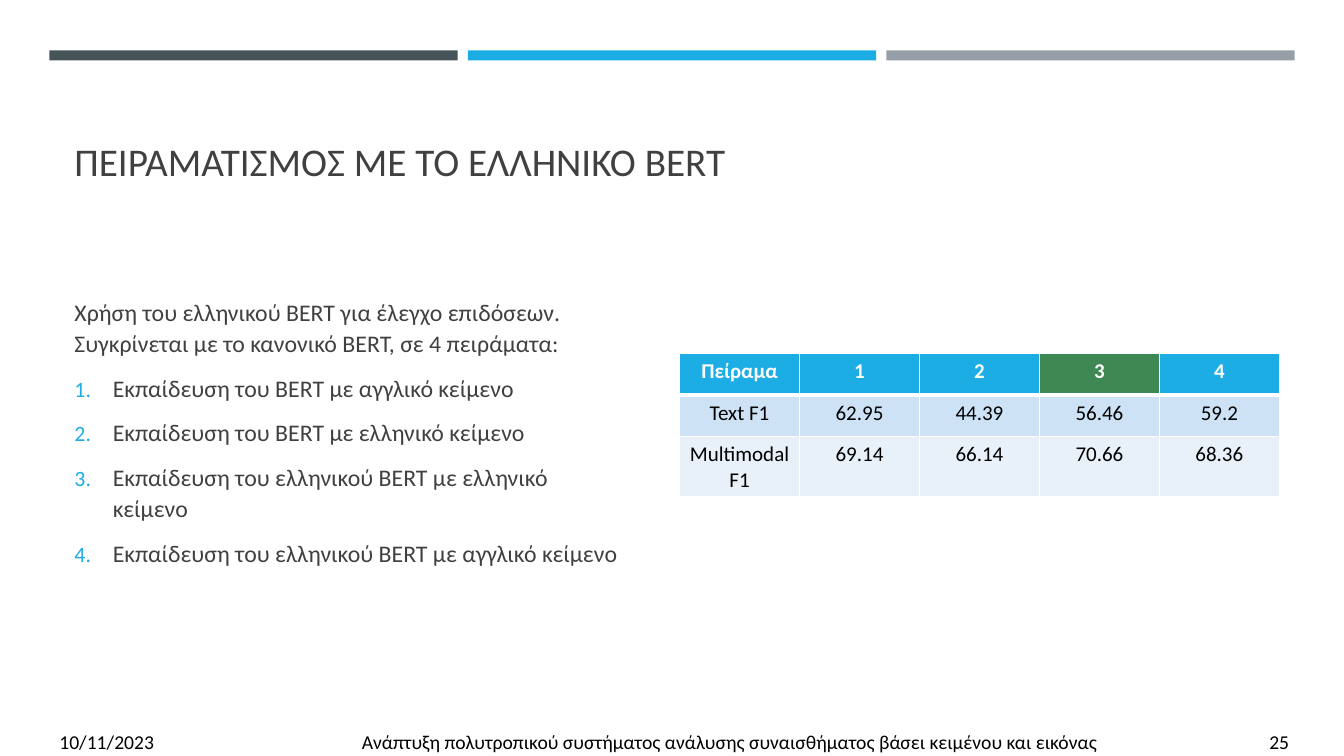
from lxml.etree import SubElement
from pptx import Presentation
from pptx.dml.color import RGBColor
from pptx.enum.shapes import MSO_SHAPE
from pptx.enum.text import MSO_ANCHOR as Anchor, PP_ALIGN as Align
from pptx.oxml.ns import qn
from pptx.util import Inches, Pt


def color(hex_value):
    return RGBColor.from_string(hex_value)


def format_runs(paragraph, size, hex_value, bold=False):
    for run in paragraph.runs:
        run.font.name = "Calibri"
        run.font.size = Pt(size)
        run.font.bold = bold
        run.font.color.rgb = color(hex_value)


presentation = Presentation()
presentation.slide_width = Inches(13.33)
presentation.slide_height = Inches(7.5)
slide = presentation.slides.add_slide(presentation.slide_layouts[6])

for index, bar_fill in enumerate(["465359", "1CADE4", "969FA7"]):
    bar = slide.shapes.add_shape(
        MSO_SHAPE.RECTANGLE, Inches(0.49 + index * 4.15), Inches(0.5), Inches(4.05), Inches(0.1)
    )
    bar.shadow.inherit = False
    bar.fill.solid()
    bar.fill.fore_color.rgb = color(bar_fill)
    bar.line.fill.background()

title = slide.shapes.add_textbox(Inches(0.64), Inches(0.8), Inches(12.06), Inches(1.08))
title_frame = title.text_frame
title_frame.word_wrap = True
title_frame.vertical_anchor = Anchor.BOTTOM
title_frame.text = "ΠΕΙΡΑΜΑΤΙΣΜΟΣ ΜΕ ΤΟ ΕΛΛΗΝΙΚΟ BERT"
format_runs(title_frame.paragraphs[0], 28, "404040")

body = slide.shapes.add_textbox(Inches(0.64), Inches(2.44), Inches(5.68), Inches(3.97))
body_frame = body.text_frame
body_frame.word_wrap = True
body_frame.vertical_anchor = Anchor.MIDDLE
body_frame.margin_bottom = Inches(0.35)
body_frame.text = "\n".join([
    "Χρήση του ελληνικού BERT για έλεγχο επιδόσεων. Συγκρίνεται με το κανονικό BERT, σε 4 πειράματα:",
    "Εκπαίδευση του BERT με αγγλικό κείμενο",
    "Εκπαίδευση του BERT με ελληνικό κείμενο",
    "Εκπαίδευση του ελληνικού BERT με ελληνικό κείμενο",
    "Εκπαίδευση του ελληνικού BERT με αγγλικό κείμενο",
])
for index, paragraph in enumerate(body_frame.paragraphs):
    if index > 0:
        properties = paragraph._p.get_or_add_pPr()
        properties.set("marL", str(Inches(0.38)))
        properties.set("indent", str(-Inches(0.38)))
        bullet_color = SubElement(properties, qn("a:buClr"))
        SubElement(bullet_color, qn("a:srgbClr"), val="1CADE4")
        SubElement(properties, qn("a:buSzPct"), val="92000")
        SubElement(properties, qn("a:buFont"), typeface="+mj-lt")
        SubElement(properties, qn("a:buAutoNum"), type="arabicPeriod")
    paragraph.line_spacing = 1.1
    paragraph.space_before = Pt(3.4 if index else 0)
    paragraph.space_after = Pt(6)
    format_runs(paragraph, 17, "404040")

results = [
    ["Πείραμα", "1", "2", "3", "4"],
    ["Text F1", "62.95", "44.39", "56.46", "59.2"],
    ["Multimodal F1", "69.14", "66.14", "70.66", "68.36"],
]
row_fills = ["1CADE4", "CDE3F5", "E8F1FA"]
best_column = 3
table = slide.shapes.add_table(
    3, 5, Inches(6.74), Inches(3.51), Inches(5.95), Inches(1.23)
).table
for column in table.columns:
    column.width = Inches(1.19)
for row_index, values in enumerate(results):
    table.rows[row_index].height = Inches(0.41)
    is_header = row_index == 0
    for column_index, value in enumerate(values):
        cell = table.cell(row_index, column_index)
        cell.text = value
        paragraph = cell.text_frame.paragraphs[0]
        paragraph.alignment = Align.CENTER
        format_runs(paragraph, 15, "FFFFFF" if is_header else "000000", is_header)
        cell_properties = cell._tc.get_or_add_tcPr()
        for side in "LRTB":
            is_thick = (row_index, side) in [(0, "B"), (1, "T")]
            border = SubElement(cell_properties, qn("a:ln" + side), w=str(Pt(3 if is_thick else 1)))
            border_fill = SubElement(border, qn("a:solidFill"))
            SubElement(border_fill, qn("a:srgbClr"), val="FFFFFF")
        is_best = is_header and column_index == best_column
        cell.fill.solid()
        cell.fill.fore_color.rgb = color("3E8853" if is_best else row_fills[row_index])

footer = slide.shapes.add_textbox(Inches(0.49), Inches(7.19), Inches(12.42), Inches(0.34))
footer_frame = footer.text_frame
footer_frame.word_wrap = True
footer_frame.text = (
    "10/11/2023\tΑνάπτυξη πολυτροπικού συστήματος ανάλυσης συναισθήματος "
    "βάσει κειμένου και εικόνας\t25"
)
footer_paragraph = footer_frame.paragraphs[0]
tab_list = SubElement(footer_paragraph._p.get_or_add_pPr(), qn("a:tabLst"))
for position in [3, 12]:
    SubElement(tab_list, qn("a:tab"), pos=str(Inches(position)), algn="l")
format_runs(footer_paragraph, 14, "000000")

presentation.save("out.pptx")
